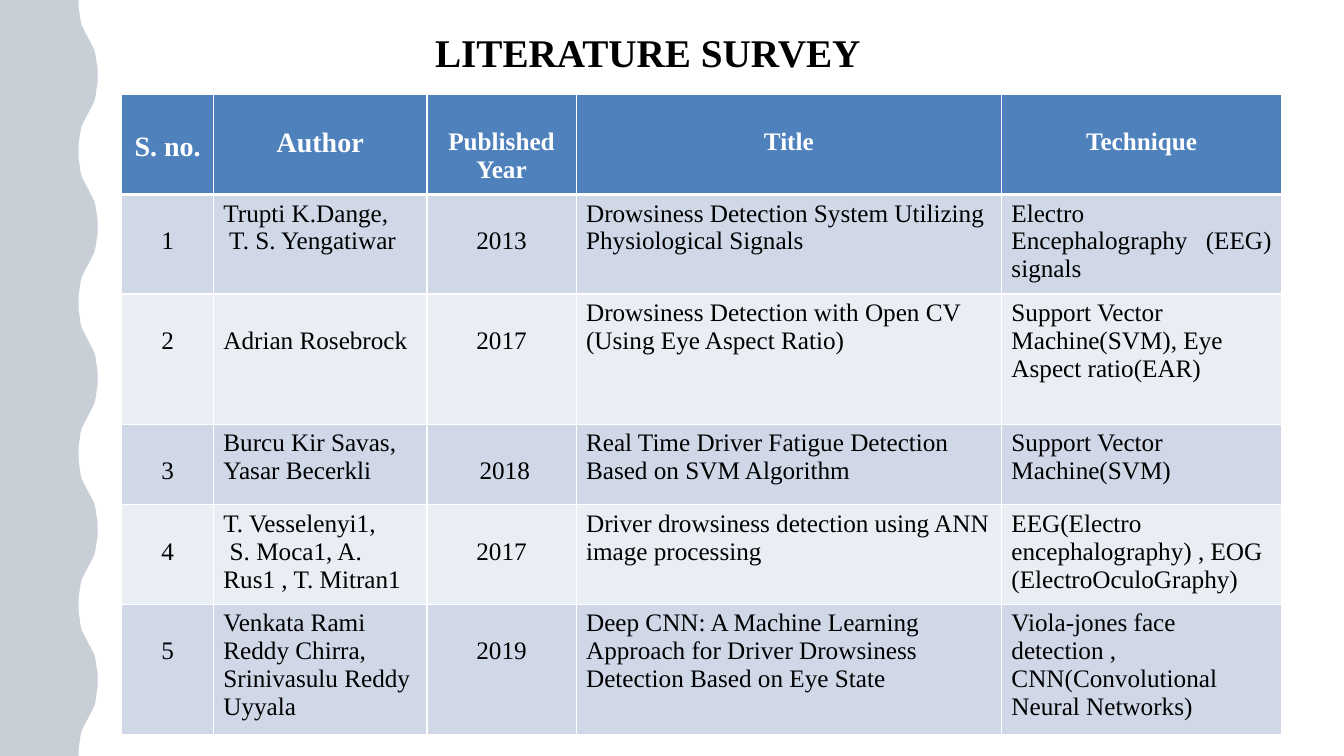
from dataclasses import dataclass
from typing import Any

from lxml.etree import SubElement
from pptx import Presentation
from pptx.dml.color import RGBColor
from pptx.enum.text import MSO_ANCHOR, PP_ALIGN
from pptx.oxml import parse_xml
from pptx.oxml.ns import nsdecls, qn
from pptx.slide import Slide
from pptx.util import Cm, Pt

FONT = "Times New Roman"
MARGIN = 0.13
LOWERED = 0.83
WAVE_PERIOD = 3.81
WAVE_COUNT = 5
WAVE_QUARTER = [(1.98, 0), (1.98, 0.18), (2.01, 0.36), (2.03, 0.51),
                (2.06, 0.64), (2.11, 0.74), (2.16, 0.84)]
WAVE_MIDDLE = (2.22, 0.95)


@dataclass
class Column:
    heading: str
    width: float
    align: PP_ALIGN = PP_ALIGN.LEFT
    top: float = MARGIN
    heading_size: int = 18
    heading_top: float = LOWERED


@dataclass
class Study:
    author: str
    year: str
    title: str
    technique: str
    height: float
    author_top: float = MARGIN
    technique_align: PP_ALIGN = PP_ALIGN.LEFT


COLUMNS = [
    Column("S. no.", 2.31, PP_ALIGN.CENTER, LOWERED, 20, 0.91),
    Column("Author", 5.38, heading_size=20),
    Column("Published\nYear", 3.76, PP_ALIGN.CENTER, LOWERED),
    Column("Title", 10.72),
    Column("Technique", 7.06),
]
HEADING_HEIGHT = 2.51
STUDIES = [
    Study("Trupti K.Dange,\n T. S. Yengatiwar", "2013",
          "Drowsiness Detection System Utilizing Physiological Signals",
          "Electro\nEncephalography (EEG) signals", 2.51,
          technique_align=PP_ALIGN.JUSTIFY),
    Study("Adrian Rosebrock", "2017",
          "Drowsiness Detection with Open CV (Using Eye Aspect Ratio)",
          "Support Vector Machine(SVM), Eye\nAspect ratio(EAR)", 3.28,
          author_top=LOWERED),
    Study("Burcu Kir Savas, Yasar Becerkli", " 2018",
          "Real Time Driver Fatigue Detection Based on SVM Algorithm",
          "Support Vector Machine(SVM)", 2.03),
    Study("T. Vesselenyi1,\n S. Moca1, A. Rus1 , T. Mitran1", "2017",
          "Driver drowsiness detection using ANN image processing",
          "EEG(Electro encephalography) , EOG (ElectroOculoGraphy)", 2.51),
    Study("Venkata Rami Reddy Chirra, Srinivasulu Reddy Uyyala", "2019",
          "Deep CNN: A Machine Learning Approach for Driver Drowsiness "
          "Detection Based on Eye State",
          "Viola-jones face detection , CNN(Convolutional Neural Networks)", 3.28),
]


def apply(target: Any, values: dict[str, Any]) -> None:
    for key, value in values.items():
        setattr(target, key, value)


def paint(colour_format: Any, colour: str) -> None:
    colour_format.rgb = RGBColor.from_string(colour)


def fill_with(part: Any, colour: str) -> None:
    part.fill.solid()
    paint(part.fill.fore_color, colour)


def format_text(frame: Any, size: int, colour: str, bold: bool, align: PP_ALIGN) -> None:
    for paragraph in frame.paragraphs:
        paragraph.alignment = align
        apply(paragraph.font, {"name": FONT, "size": Pt(size), "bold": bold})
        paint(paragraph.font.color, colour)


def add_borders(cell: Any, top: int, bottom: int) -> None:
    properties = cell._tc.get_or_add_tcPr()
    for side, width in {"L": 1, "R": 1, "T": top, "B": bottom}.items():
        properties.append(parse_xml(
            f'<a:ln{side} {nsdecls("a")} w="{Pt(width)}"><a:solidFill>'
            f'<a:srgbClr val="FFFFFF"/></a:solidFill></a:ln{side}>'))


def fill_cell(cell: Any, text: str, top: float, fill: str, size: int = 18,
              colour: str = "000000", bold: bool = False,
              align: PP_ALIGN = PP_ALIGN.LEFT) -> None:
    cell.text = text
    apply(cell, {"margin_top": Cm(top), "margin_bottom": Cm(MARGIN),
                 "margin_left": Cm(0.25), "margin_right": Cm(0.25),
                 "vertical_anchor": MSO_ANCHOR.TOP})
    format_text(cell.text_frame, size, colour, bold, align)
    fill_with(cell, fill)


def draw_survey(slide: Slide) -> None:
    heights = [HEADING_HEIGHT] + [study.height for study in STUDIES]
    survey = slide.shapes.add_table(
        len(heights), len(COLUMNS), Cm(3.07), Cm(2.39),
        Cm(sum(column.width for column in COLUMNS)), Cm(sum(heights))).table
    for row, height in zip(survey.rows, heights):
        row.height = Cm(height)
    for index, column in enumerate(COLUMNS):
        survey.columns[index].width = Cm(column.width)
        heading = survey.cell(0, index)
        add_borders(heading, 1, 3)
        fill_cell(heading, column.heading, column.heading_top, "4F81BD",
                  column.heading_size, "FFFFFF", True, PP_ALIGN.CENTER)
    for number, study in enumerate(STUDIES, 1):
        fill = "D0D8E8" if number % 2 else "E9EDF4"
        texts = [str(number), study.author, study.year, study.title, study.technique]
        tops = [column.top for column in COLUMNS]
        aligns = [column.align for column in COLUMNS]
        tops[1] = study.author_top
        aligns[4] = study.technique_align
        for index, (text, top, align) in enumerate(zip(texts, tops, aligns)):
            cell = survey.cell(number, index)
            add_borders(cell, 3 if number == 1 else 1, 1)
            fill_cell(cell, text, top, fill, align=align)


def draw_wave(slide: Slide) -> None:
    middle_x, middle_y = WAVE_MIDDLE
    outward = WAVE_QUARTER + [WAVE_MIDDLE] + [
        (2 * middle_x - x, WAVE_PERIOD / 2 - y) for x, y in reversed(WAVE_QUARTER)]
    inward = [(x, WAVE_PERIOD - y) for x, y in reversed(outward[1:-1])]
    edge = [(x, y + period * WAVE_PERIOD)
            for period in range(WAVE_COUNT) for x, y in outward + inward]
    bottom = WAVE_COUNT * WAVE_PERIOD
    edge += [(WAVE_QUARTER[0][0], bottom), (0, bottom)]
    outline = slide.shapes.build_freeform(0, 0, 1.0)
    outline.add_line_segments([(Cm(x), Cm(y)) for x, y in edge], close=True)
    wave = outline.convert_to_shape()
    wave.shadow.inherit = False
    wave.line.fill.background()
    fill_with(wave, "254061")
    tint = wave._element.spPr.find(qn("a:solidFill")).find(qn("a:srgbClr"))
    SubElement(tint, qn("a:alpha")).set("val", "25000")


def draw_title(slide: Slide) -> None:
    title = slide.shapes.title
    apply(title, {"left": Cm(4.45), "top": Cm(0.58), "width": Cm(23.75), "height": Cm(1.45)})
    title.text_frame.text = "LITERATURE SURVEY"
    apply(title.text_frame, {"word_wrap": True, "vertical_anchor": MSO_ANCHOR.MIDDLE})
    format_text(title.text_frame, 28, "000000", True, PP_ALIGN.CENTER)


def main() -> None:
    presentation = Presentation()
    apply(presentation, {"slide_width": Cm(33.87), "slide_height": Cm(19.05)})
    slide = presentation.slides.add_slide(presentation.slide_layouts[5])
    draw_wave(slide)
    draw_survey(slide)
    draw_title(slide)
    presentation.save("out.pptx")


if __name__ == "__main__":
    main()
